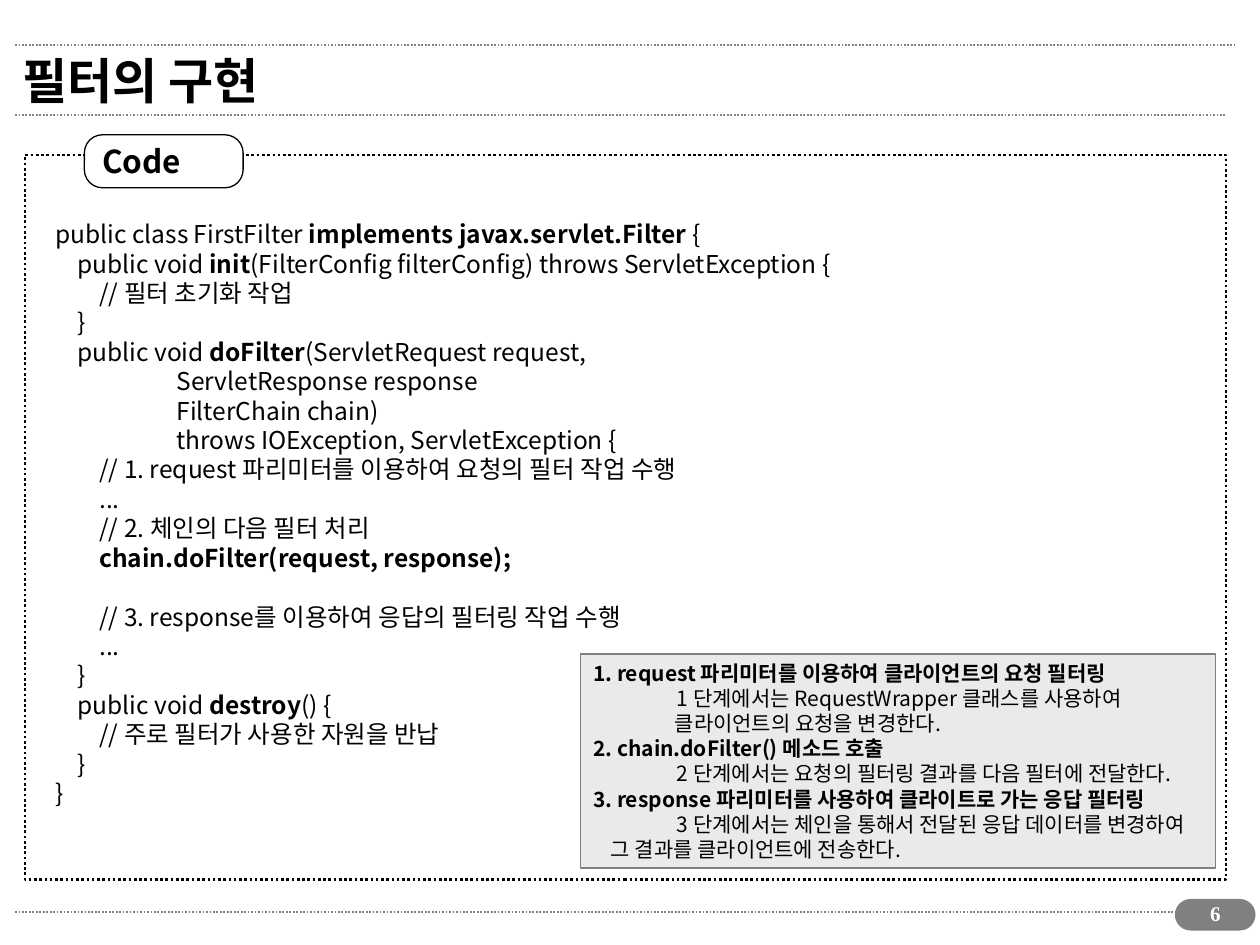
from lxml import etree
from pptx import Presentation
from pptx.dml.color import RGBColor
from pptx.enum.dml import MSO_LINE
from pptx.enum.shapes import MSO_CONNECTOR, MSO_SHAPE
from pptx.enum.text import MSO_ANCHOR, PP_ALIGN
from pptx.oxml.ns import qn
from pptx.util import Inches, Pt

RECT, ROUND = MSO_SHAPE.RECTANGLE, MSO_SHAPE.ROUNDED_RECTANGLE
STRAIGHT = MSO_CONNECTOR.STRAIGHT
DOT = MSO_LINE.ROUND_DOT
TOP, MID = MSO_ANCHOR.TOP, MSO_ANCHOR.MIDDLE
LEFT, MID_X = PP_ALIGN.LEFT, PP_ALIGN.CENTER

WIDE, HIGH = 10, 7.5
SANS, SERIF = "Noto Sans CJK KR", "Times New Roman"
HUES = {"ink": "000000", "paper": "FFFFFF", "gray": "808080", "pale": "EAEAEA"}

EDGE = 0.12
RULES = [(0.36, 9.8), (0.91, 9.72), (7.24, 9.73)]

# Each line is (indent steps, text, blank lines above); *stars* mark bold words.
STEP = 0.175
CODE = [
    (0, "public class FirstFilter *implements javax.servlet.Filter* {", 0),
    (1, "public void *init*(FilterConfig filterConfig) throws ServletException {", 0),
    (2, "// 필터 초기화 작업", 0),
    (1, "}", 0),
    (1, "public void *doFilter*(ServletRequest request,", 0),
    (5.5, "ServletResponse response", 0),
    (5.5, "FilterChain chain)", 0),
    (5.5, "throws IOException, ServletException {", 0),
    (2, "// 1. request 파리미터를 이용하여 요청의 필터 작업 수행", 0),
    (2, "...", 0),
    (2, "// 2. 체인의 다음 필터 처리", 0),
    (2, "*chain.doFilter(request, response);*", 0),
    (2, "// 3. response를 이용하여 응답의 필터링 작업 수행", 1),
    (2, "...", 0),
    (1, "}", 0),
    (1, "public void *destroy*() {", 0),
    (2, "// 주로 필터가 사용한 자원을 반납", 0),
    (1, "}", 0),
    (0, "}", 0),
]
NOTES = [
    (0, "*1. request 파리미터를 이용하여 클라이언트의 요청 필터링*", 0),
    (3.8, "1 단계에서는 RequestWrapper 클래스를 사용하여", 0),
    (3.7, "클라이언트의 요청을 변경한다.", 0),
    (0, "*2. chain.doFilter() 메소드 호출*", 0),
    (3.8, "2 단계에서는 요청의 필터링 결과를 다음 필터에 전달한다.", 0),
    (0, "*3. response 파리미터를 사용하여 클라이트로 가는 응답 필터링*", 0),
    (3.8, "3 단계에서는 체인을 통해서 전달된 응답 데이터를 변경하여", 0),
    (0.8, "그 결과를 클라이언트에 전송한다.", 0),
]


def tint(name):
    return RGBColor.from_string(HUES[name])


def add_rule(slide, y, end):
    rule = slide.shapes.add_connector(
        STRAIGHT, Inches(EDGE), Inches(y), Inches(end), Inches(y))
    rule.line.color.rgb = tint("gray")
    rule.line.width = Pt(1)
    rule.line.dash_style = DOT
    etree.SubElement(rule._element.spPr, qn("a:effectLst"))


def add_box(slide, kind, at, fill, line, width=0.75, curve=None, dash=None):
    box = slide.shapes.add_shape(kind, *map(Inches, at))
    box.shadow.inherit = False
    if fill:
        box.fill.solid()
        box.fill.fore_color.rgb = tint(fill)
    else:
        box.fill.background()
    box.line.color.rgb = tint(line)
    box.line.width = Pt(width)
    if dash:
        box.line.dash_style = dash
    if curve is not None:
        box.adjustments[0] = curve
    return box


def add_area(slide, at):
    return slide.shapes.add_textbox(*map(Inches, at))


def add_run(para, text, size, bold, hue, face):
    run = para.add_run()
    run.text = text
    font = run.font
    font.name, font.size, font.bold = face, Pt(size), bold
    font.color.rgb = tint(hue)
    east = etree.SubElement(run._r.get_or_add_rPr(), qn("a:ea"))
    east.set("typeface", face)


def put_text(shape, lines, size, hue="ink", face=SANS, anchor=TOP,
             align=LEFT, pitch=None):
    """Fill a shape with lines; pitch is a fixed line height in points."""
    frame = shape.text_frame
    frame.word_wrap = True
    frame.vertical_anchor = anchor
    for i, (depth, text, gap) in enumerate(lines):
        para = frame.add_paragraph() if i else frame.paragraphs[0]
        para.alignment = align
        if depth:
            para._p.get_or_add_pPr().set("marL", str(Inches(depth * STEP)))
        if pitch:
            para.line_spacing = Pt(pitch)
            para.space_before = Pt(gap * pitch)
        for j, part in enumerate(text.split("*")):
            if part:
                add_run(para, part, size, j % 2 == 1, hue, face)


def main():
    deck = Presentation()
    deck.slide_width, deck.slide_height = Inches(WIDE), Inches(HIGH)
    slide = deck.slides.add_slide(deck.slide_layouts[6])

    for y, end in RULES:
        add_rule(slide, y, end)
    add_box(slide, ROUND, (9.33, 7.14, 0.63, 0.24), "gray", "gray", curve=0.5)

    title = add_area(slide, (0.08, 0.28, 9.1, 0.71))
    put_text(title, [(0, "*필터의 구현*", 0)], 28, anchor=MID)

    add_box(slide, RECT, (0.2, 1.23, 9.53, 5.75), None, "ink", 1.5, dash=DOT)
    label = add_box(slide, ROUND, (0.67, 1.07, 1.26, 0.42), "paper", "ink", curve=0.34)
    put_text(label, [(0, "*Code*", 0)], 18, anchor=MID)

    code = add_area(slide, (0.34, 1.69, 6.42, 4.77))
    put_text(code, CODE, 14, pitch=16.8)
    notes = add_box(slide, RECT, (4.61, 5.19, 5.04, 1.7), "pale", "gray")
    put_text(notes, NOTES, 12, pitch=14.4)

    page = add_area(slide, (9.37, 7.1, 0.55, 0.34))
    put_text(page, [(0, "*6*", 0)], 12, "paper", SERIF, align=MID_X)
    deck.save("out.pptx")


if __name__ == "__main__":
    main()
